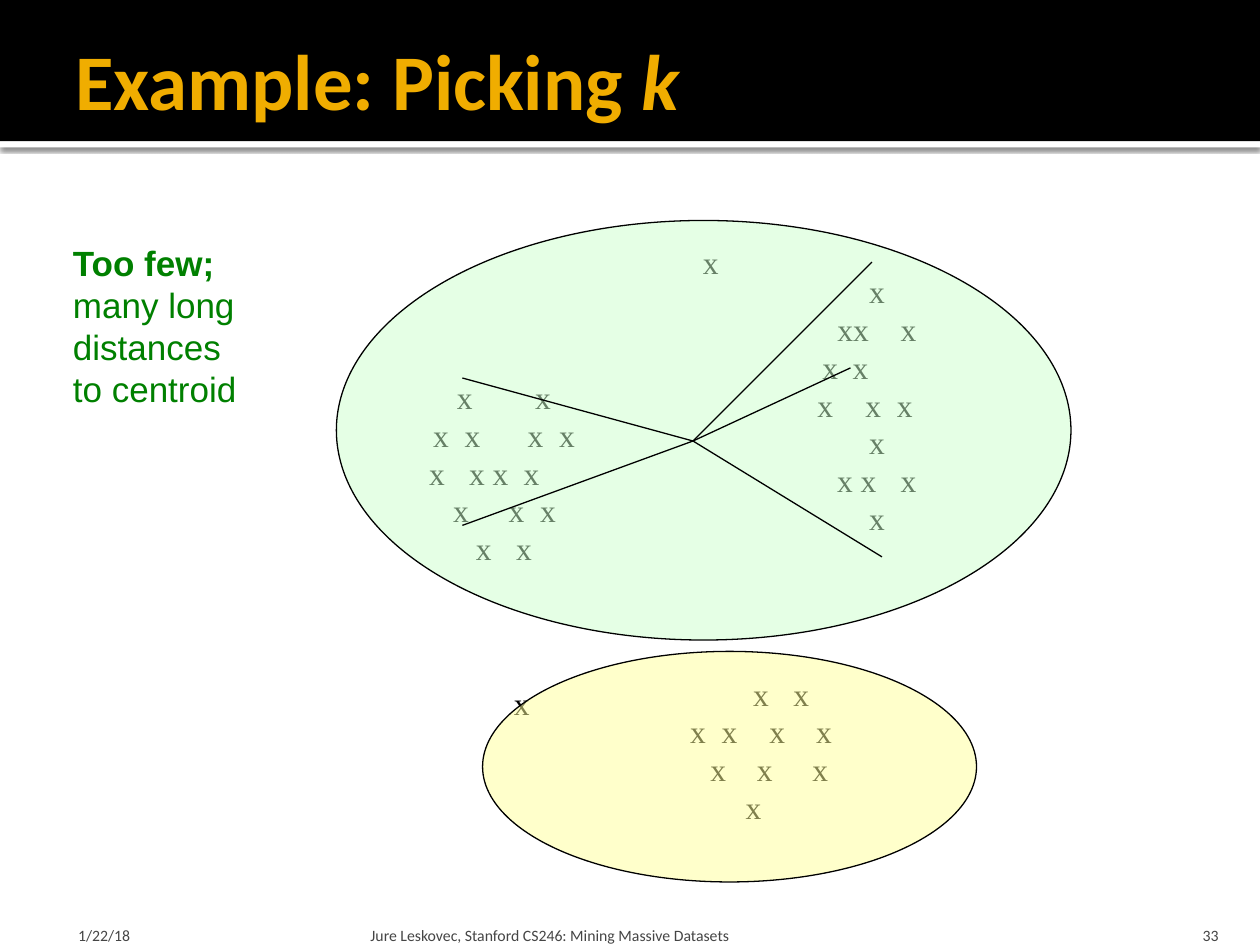
from lxml import etree
from pptx import Presentation
from pptx.dml.color import RGBColor
from pptx.enum.shapes import MSO_CONNECTOR, MSO_SHAPE
from pptx.enum.text import MSO_ANCHOR, PP_ALIGN
from pptx.oxml import parse_xml
from pptx.oxml.ns import nsdecls, qn
from pptx.util import Inches, Pt

RECT, ELLIPSE = MSO_SHAPE.RECTANGLE, MSO_SHAPE.OVAL
STRAIGHT = MSO_CONNECTOR.STRAIGHT
TOP, MIDDLE, BOTTOM = MSO_ANCHOR.TOP, MSO_ANCHOR.MIDDLE, MSO_ANCHOR.BOTTOM
LEFT, RIGHT = PP_ALIGN.LEFT, PP_ALIGN.RIGHT

COLORS = {
    "black": "000000", "white": "FFFFFF", "title": "F0AD00", "footer": "454545",
    "note": "008000", "green": "CCFFCC", "yellow": "FFFF99",
}
FORMATS = {
    "title": {"name": "Calibri", "size": Pt(45), "bold": True},
    "footer": {"name": "Calibri", "size": Pt(9)},
    "point": {"name": "Times New Roman", "size": Pt(18)},
    "note": {"name": "Arial", "size": Pt(20)},
}
TEXT_COLORS = {"title": "title", "footer": "footer", "point": "black", "note": "note"}
POINT_SPACING = Pt(21.6)

# Each cluster: its box, then the horizontal centres of the points in each row.
# Points that are close together share one centre, given with their text.
CLUSTERS = [
    ((3, 2.5, 2, 2.5), [
        [3.69, 4.31], [3.5, 3.75, 4.25, 4.5], [3.47, (3.88, "x x"), 4.22],
        [3.66, 4.1, 4.35], [3.84, 4.16]]),
    ((6, 1.67, 1.92, 3.08), [
        [6.96], [(6.77, "xx"), 7.21], [6.59, 6.83], [6.55, 6.93, 7.18],
        [6.96], [(6.8, "x x"), 7.21], [6.96]]),
    ((5, 5.08, 2.08, 1.75), [
        [6.04, 6.36], [5.54, 5.79, 6.17, 6.54], [5.7, 6.07, 6.51], [5.98]]),
]
OUTLIERS = [(5.48, 1.88), (3.98, 5.38)]
CENTROID = (5.5, 3.5)
FAR_POINTS = [(3.67, 3), (3.67, 4.17), (7, 4.42), (6.75, 2.92), (6.92, 2.08)]
# Gap between an ellipse and its text area, as a share of its width.
ELLIPSE_INSET = (1 - 0.5 ** 0.5) / 2


def rgb(color):
    return RGBColor.from_string(COLORS[color])


class SlideBuilder:
    def __init__(self, slide):
        self.slide = slide

    def shape(self, kind, box, fill=None, line=None, alpha=None):
        shape = self.slide.shapes.add_shape(kind, *map(Inches, box))
        shape.shadow.inherit = False
        if fill:
            shape.fill.solid()
            shape.fill.fore_color.rgb = rgb(fill)
        else:
            shape.fill.background()
        if alpha:
            color = shape.fill._xPr.find(qn("a:solidFill"))[0]
            etree.SubElement(color, qn("a:alpha"), val=str(alpha * 1000))
        if line:
            shape.line.color.rgb = rgb(line)
            shape.line.width = Pt(0.75)
        else:
            shape.line.fill.background()
        return shape

    def drop_shadow(self, shape):
        effects = shape._element.spPr.find(qn("a:effectLst"))
        effects.append(parse_xml(
            f'<a:outerShdw {nsdecls("a")} blurRad="{Pt(2.5)}" dist="{Pt(0.8)}" '
            f'dir="5400000" rotWithShape="0"><a:srgbClr val="{COLORS["black"]}">'
            '<a:alpha val="60000"/></a:srgbClr></a:outerShdw>'))

    def frame(self, shape, anchor, insets, wrap):
        frame = shape.text_frame
        settings = {"vertical_anchor": anchor, "word_wrap": wrap}
        sides = ("margin_left", "margin_top", "margin_right", "margin_bottom")
        settings.update(zip(sides, map(Inches, insets)))
        for key, value in settings.items():
            setattr(frame, key, value)
        return frame

    def style(self, font, name, **changes):
        for key, value in {**FORMATS[name], **changes}.items():
            setattr(font, key, value)
        font.color.rgb = rgb(TEXT_COLORS[name])

    def text(self, box, paragraphs, style, anchor=TOP, align=LEFT,
             insets=(0.1, 0.05, 0.1, 0.05), wrap=True):
        """Each paragraph is a list of (text, font changes) runs."""
        textbox = self.slide.shapes.add_textbox(*map(Inches, box))
        frame = self.frame(textbox, anchor, insets, wrap)
        for number, runs in enumerate(paragraphs):
            paragraph = frame.add_paragraph() if number else frame.paragraphs[0]
            paragraph.alignment = align
            for wording, changes in runs:
                run = paragraph.add_run()
                run.text = wording
                self.style(run.font, style, **changes)
        return frame

    def cluster(self, box, rows):
        """Place the points of each row on centred tab stops."""
        left, _, width, _ = box
        text_left = left + width * ELLIPSE_INSET
        frame = self.frame(self.shape(ELLIPSE, box), MIDDLE, (0, 0, 0, 0), True)
        for number, row in enumerate(rows):
            paragraph = frame.add_paragraph() if number else frame.paragraphs[0]
            tabs = etree.SubElement(paragraph._p.get_or_add_pPr(), qn("a:tabLst"))
            paragraph.alignment = LEFT
            paragraph.line_spacing = POINT_SPACING
            run = paragraph.add_run()
            for entry in row:
                center, points = entry if isinstance(entry, tuple) else (entry, "x")
                etree.SubElement(tabs, qn("a:tab"), algn="ctr",
                                 pos=str(Inches(center - text_left)))
                run.text += "\t" + points
            self.style(run.font, "point")

    def line(self, start, end):
        line = self.slide.shapes.add_connector(STRAIGHT, *map(Inches, start + end))
        line.line.color.rgb = rgb("black")
        line.line.width = Pt(0.75)
        etree.SubElement(line._element.spPr, qn("a:effectLst"))


def main():
    deck = Presentation()
    deck.slide_width, deck.slide_height = Inches(10), Inches(7.5)
    builder = SlideBuilder(deck.slides.add_slide(deck.slide_layouts[6]))

    builder.drop_shadow(builder.shape(RECT, (0, 1.12, 10, 0.05), "white"))
    builder.shape(RECT, (0, 0, 10, 1.12), "black")
    builder.text((0.5, 0.17, 9, 0.92),
                 [[("Example: Picking ", {}), ("k", {"italic": True})]],
                 "title", MIDDLE, insets=(0.1, 0.05, 0.05, 0.05))

    footers = [
        (0.5, 2.33, "1/22/18", LEFT, 0.12, 0.05),
        (2.89, 6.02, "Jure Leskovec, Stanford CS246: Mining Massive Datasets",
         LEFT, 0.05, 0.05),
        (8.97, 0.8, "33", RIGHT, 0.1, 0.1),
    ]
    for left, width, wording, align, inset_left, inset_right in footers:
        builder.text((left, 7.2, width, 0.3), [[(wording, {})]], "footer", BOTTOM,
                     align, (inset_left, 0.05, inset_right, 0))

    for box, rows in CLUSTERS:
        builder.cluster(box, rows)
    for left, top in OUTLIERS:
        outlier = builder.text((left, top, 0.37, 0.5), [[("x", {})]], "point",
                               wrap=False)
        outlier.paragraphs[0].line_spacing = POINT_SPACING

    builder.shape(ELLIPSE, (2.67, 1.75, 5.83, 3.33), "green", "black", alpha=50)
    builder.shape(ELLIPSE, (3.83, 5.17, 3.92, 1.83), "yellow", "black", alpha=50)
    for far_point in FAR_POINTS:
        builder.line(CENTROID, far_point)

    note = [[("Too few;", {"bold": True})]]
    note += [[(wording, {})] for wording in ("many long", "distances", "to centroid")]
    builder.text((0.48, 1.87, 1.51, 1.45), note, "note", wrap=False)

    deck.save("out.pptx")


if __name__ == "__main__":
    main()
